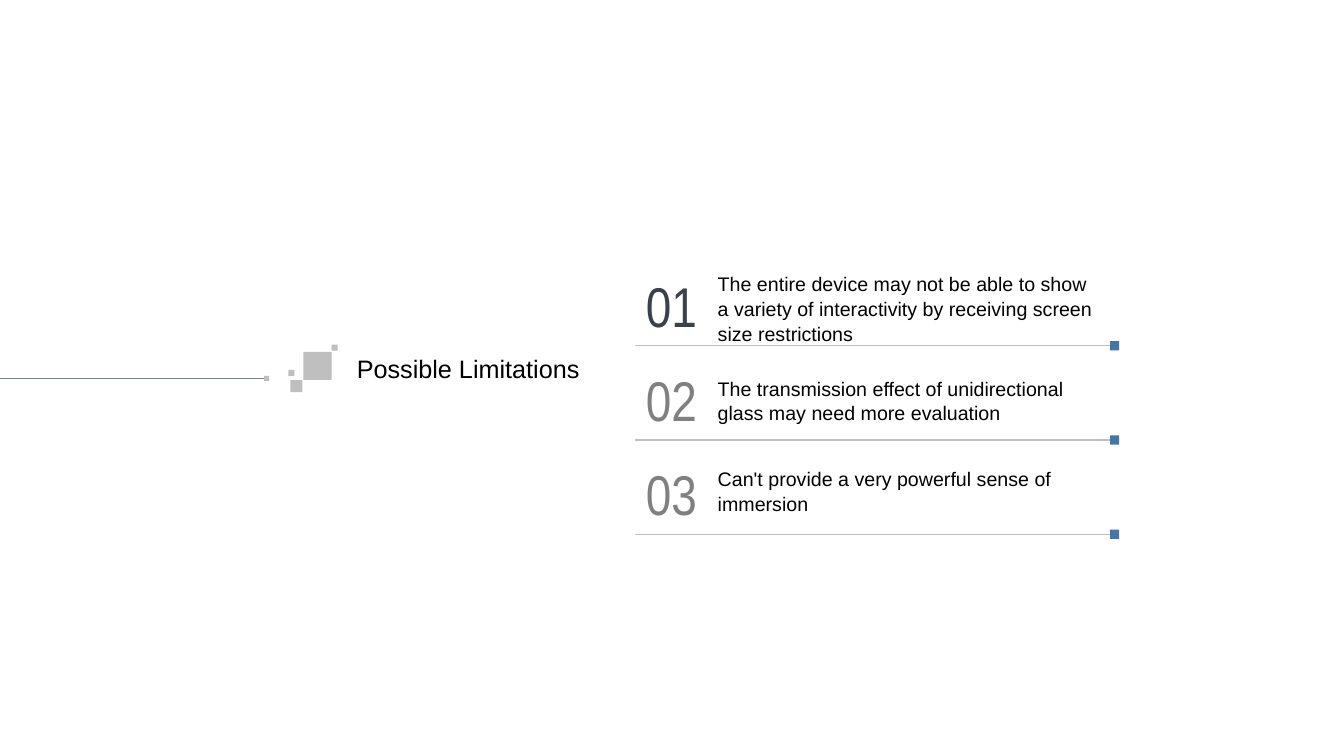
from dataclasses import dataclass

from pptx import Presentation
from pptx.dml.color import RGBColor
from pptx.enum.shapes import MSO_CONNECTOR, MSO_SHAPE
from pptx.enum.text import MSO_ANCHOR, PP_ALIGN
from pptx.oxml.ns import qn
from pptx.util import Inches, Pt


@dataclass(frozen=True)
class Theme:
    black: str = "000000"
    light_gray: str = "BFBFBF"
    gray: str = "808080"
    slate: str = "3A414B"
    blue_gray: str = "768395"
    blue: str = "4276AA"
    body_font: str = "Arial"
    number_font: str = "Arial Narrow"
    title_size: int = 18
    number_size: int = 40
    item_size: int = 14


THEME = Theme()

NUMBER_LEFT, TEXT_LEFT, MARKER_LEFT, RULE_RIGHT = 6.3, 7.02, 11.01, 11.05
FIRST_ROW, ROW_PITCH, ROW_HEIGHT = 2.64, 0.935, 0.77
RULE_DROP, MARKER_SIZE = 0.79, 0.09

# Left, top and side of each square beside the title
TITLE_SQUARES = [
    (3.01, 3.49, 0.28),
    (3.29, 3.42, 0.06),
    (2.88, 3.77, 0.12),
    (2.86, 3.67, 0.06),
]

# Number colour, wording, and offset of the wording from the top of its row
LIMITATIONS = [
    (THEME.slate, "The entire device may not be able to show a variety of "
                  "interactivity by receiving screen size restrictions", 0),
    (THEME.gray, "The transmission effect of unidirectional glass may need "
                 "more evaluation", 0.1),
    (THEME.gray, "Can't provide a very powerful sense of immersion", 0.06),
]


def add_square(page, left, top, side, color):
    square = page.shapes.add_shape(
        MSO_SHAPE.RECTANGLE, Inches(left), Inches(top), Inches(side), Inches(side))
    square.shadow.inherit = False
    square.fill.solid()
    square.fill.fore_color.rgb = RGBColor.from_string(color)
    square.line.fill.background()


def add_rule(page, left, right, top, color, weight):
    rule = page.shapes.add_connector(
        MSO_CONNECTOR.STRAIGHT, Inches(left), Inches(top), Inches(right), Inches(top))
    rule.line.color.rgb = RGBColor.from_string(color)
    rule.line.width = Pt(weight)
    properties = rule._element.spPr
    properties.append(properties.makeelement(qn("a:effectLst"), {}))


def add_text(page, area, wording, font, size, color, anchor=MSO_ANCHOR.TOP,
             align=PP_ALIGN.LEFT, wrap=True, spacing=1.0):
    box = page.shapes.add_textbox(*(Inches(length) for length in area))
    frame = box.text_frame
    frame.word_wrap = wrap
    frame.vertical_anchor = anchor
    frame.text = wording
    para = frame.paragraphs[0]
    para.alignment = align
    para.line_spacing = spacing
    span = para.runs[0]
    span.font.name = font
    span.font.size = Pt(size)
    span.font.color.rgb = RGBColor.from_string(color)


def add_title(page):
    add_text(page, (3.44, 3.34, 2.58, 0.62), "Possible Limitations",
             THEME.body_font, THEME.title_size, THEME.black, MSO_ANCHOR.MIDDLE)
    for left, top, side in TITLE_SQUARES:
        add_square(page, left, top, side, THEME.light_gray)
    add_rule(page, 0, 2.64, 3.75, THEME.blue_gray, 0.5)
    add_square(page, 2.62, 3.73, 0.05, THEME.light_gray)


def add_limitation(page, row, number_color, wording, text_offset):
    top = FIRST_ROW + row * ROW_PITCH
    rule_top = top + RULE_DROP
    add_rule(page, NUMBER_LEFT, RULE_RIGHT, rule_top, THEME.light_gray, 1)
    add_square(page, MARKER_LEFT, rule_top - MARKER_SIZE / 2, MARKER_SIZE, THEME.blue)
    add_text(page, (NUMBER_LEFT, top, TEXT_LEFT - NUMBER_LEFT, ROW_HEIGHT),
             f"{row + 1:02}", THEME.number_font, THEME.number_size, number_color,
             MSO_ANCHOR.MIDDLE, PP_ALIGN.CENTER, wrap=False)
    add_text(page, (TEXT_LEFT, top + text_offset, MARKER_LEFT - TEXT_LEFT,
                    ROW_HEIGHT - 2 * text_offset),
             wording, THEME.body_font, THEME.item_size, THEME.black, spacing=1.05)


def main():
    deck = Presentation()
    deck.slide_width, deck.slide_height = Inches(13.33), Inches(7.5)
    page = deck.slides.add_slide(deck.slide_layouts[6])
    add_title(page)
    for row, limitation in enumerate(LIMITATIONS):
        add_limitation(page, row, *limitation)
    deck.save("out.pptx")


if __name__ == "__main__":
    main()
